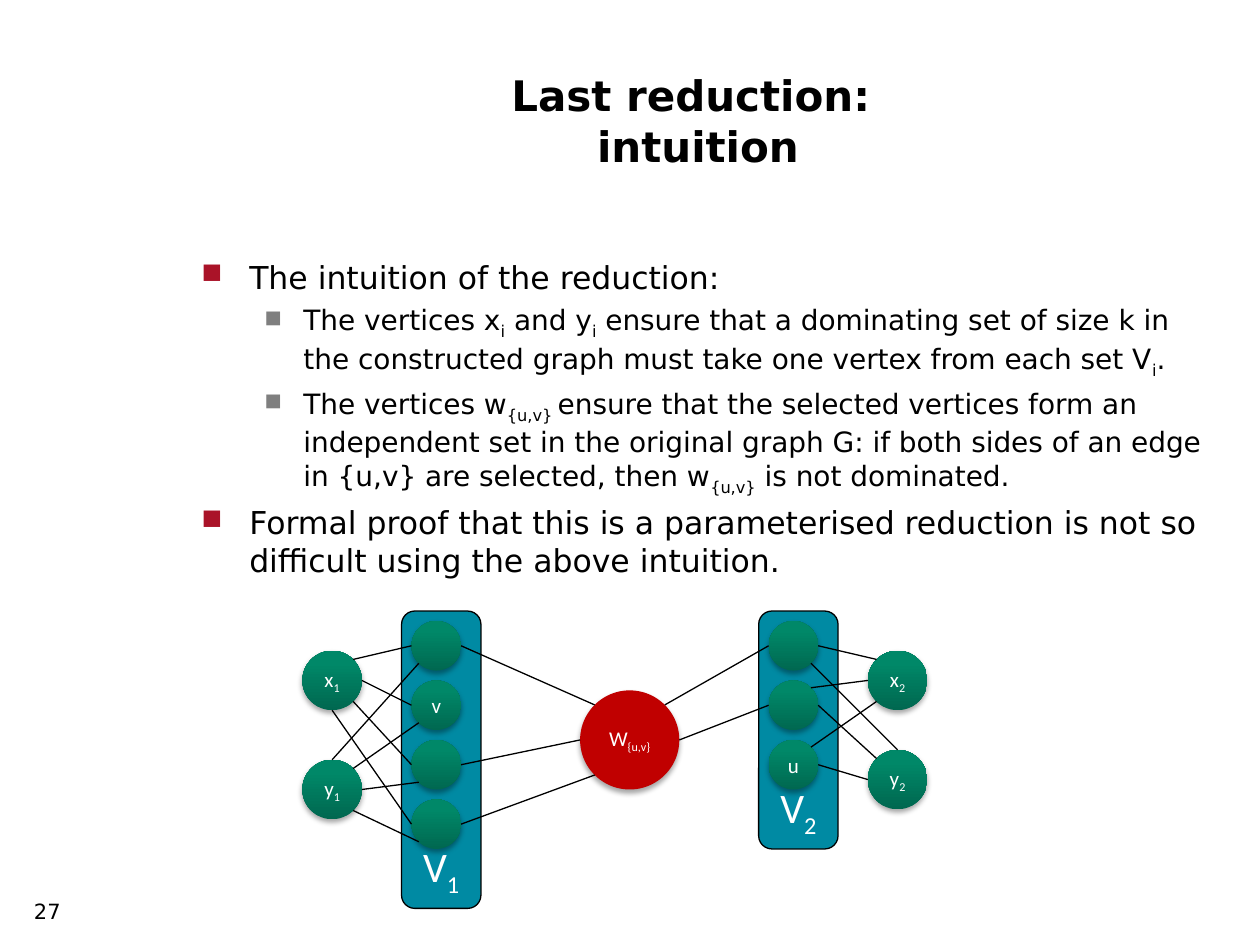
from dataclasses import dataclass
from math import cos, radians, sin

from lxml import etree
from pptx import Presentation
from pptx.dml.color import RGBColor
from pptx.enum.shapes import MSO_CONNECTOR, MSO_SHAPE
from pptx.enum.text import MSO_ANCHOR, PP_ALIGN
from pptx.oxml.ns import qn
from pptx.util import Emu, Inches, Pt

CIRCLE, ROUNDED = MSO_SHAPE.OVAL, MSO_SHAPE.ROUNDED_RECTANGLE
STRAIGHT = MSO_CONNECTOR.STRAIGHT
LEFT, CENTER, RIGHT = PP_ALIGN.LEFT, PP_ALIGN.CENTER, PP_ALIGN.RIGHT
TOP, MIDDLE, BOTTOM = MSO_ANCHOR.TOP, MSO_ANCHOR.MIDDLE, MSO_ANCHOR.BOTTOM


@dataclass(frozen=True)
class Theme:
    text_font: str = "DejaVu Sans"
    graph_font: str = "Calibri"
    black: str = "000000"
    white: str = "FFFFFF"
    set_fill: str = "008AA3"
    vertex_dark: str = "006850"
    vertex_light: str = "008868"
    edge_vertex: str = "C00000"
    title_size: int = 24
    set_size: int = 24
    small_size: int = 12
    line_width: float = 0.75
    # Per outline level: size, left margin, hanging indent, bullet colour, bullet percent
    levels: tuple = ((18, 0.38, 0.38, "AA1328", 90), (16, 0.81, 0.31, "7F7F7F", 85))


@dataclass(frozen=True)
class Box:
    left: float
    top: float
    width: float
    height: float

    def emu(self):
        return [Inches(n) for n in (self.left, self.top, self.width, self.height)]

    def cell(self, column, row, columns, rows, grid):
        """Part of this box, measured on a grid of (columns, rows)."""
        x, y = self.width / grid[0], self.height / grid[1]
        return Box(self.left + column * x, self.top + row * y, columns * x, rows * y)

    def rim(self, compass):
        """Point on the inscribed ellipse in a compass direction."""
        angle = radians(45 * ("E", "SE", "S", "SW", "W", "NW", "N", "NE").index(compass))
        return (Inches(self.left + self.width / 2 * (1 + cos(angle))),
                Inches(self.top + self.height / 2 * (1 + sin(angle))))


THEME = Theme()
PAGE = Box(0, 0, 10, 7.5)
GRID = (63, 30)  # columns and rows of the graph
POINTS = [
    (0, "The intuition of the reduction:"),
    (1, "The vertices x~i~ and y~i~ ensure that a dominating set of size k in "
        "the constructed graph must take one vertex from each set V~i~."),
    (1, "The vertices w~{u,v} ~ensure that the selected vertices form an independent set in "
        "the original graph G: if both sides of an edge in {u,v} are selected, "
        "then w~{u,v}~ is not dominated."),
    (0, "Formal proof that this is a parameterised reduction is not so difficult "
        "using the above intuition."),
]


def write(paragraph, text, *, size, font=THEME.text_font, color=THEME.black,
          bold=False, align=LEFT):
    """Write text; parts between tildes are subscripts, a newline is a line break."""
    paragraph.alignment = align
    for line_number, line in enumerate(text.split("\n")):
        if line_number:
            paragraph.add_line_break()
        for part_number, part in enumerate(line.split("~")):
            if not part:
                continue
            run = paragraph.add_run()
            run.text = part
            run.font.size, run.font.name, run.font.bold = Pt(size), font, bold
            run.font.color.rgb = RGBColor.from_string(color)
            if part_number % 2:
                run.font._element.set("baseline", "-25000")


def add_title(slide, box):
    title = slide.shapes.title
    title.left, title.top, title.width, title.height = box.emu()
    title.text_frame.vertical_anchor = MIDDLE
    write(title.text_frame.paragraphs[0], "Last reduction: \nintuition",
          size=THEME.title_size, bold=True, align=CENTER)


def add_text_frame(slide, box):
    frame = slide.shapes.add_textbox(*box.emu()).text_frame
    frame.word_wrap = True
    frame.vertical_anchor = TOP
    return frame


def add_bullet(paragraph, level):
    _, margin, hanging, color, percent = THEME.levels[level]
    paragraph.level = level
    properties = paragraph._p.get_or_add_pPr()
    properties.set("marL", str(Inches(margin)))
    properties.set("indent", str(-Inches(hanging)))
    bullet_color = etree.SubElement(properties, qn("a:buClr"))
    etree.SubElement(bullet_color, qn("a:srgbClr"), val=color)
    etree.SubElement(properties, qn("a:buSzPct"), val=str(percent * 1000))
    etree.SubElement(properties, qn("a:buChar"), char="■")


def add_points(slide, box):
    frame = add_text_frame(slide, box)
    for number, (level, text) in enumerate(POINTS):
        paragraph = frame.add_paragraph() if number else frame.paragraphs[0]
        add_bullet(paragraph, level)
        if number:
            paragraph.space_before = Pt(4)
        write(paragraph, text, size=THEME.levels[level][0])


def add_label(shape, text, size, anchor):
    frame = shape.text_frame
    frame.word_wrap = False
    frame.vertical_anchor = anchor
    frame.margin_left = frame.margin_right = 0
    write(frame.paragraphs[0], text, size=size, font=THEME.graph_font,
          color=THEME.white, align=CENTER)


def add_shadow(shape):
    shape.shadow.inherit = False
    effects = shape._element.spPr.find(qn("a:effectLst"))
    shadow = etree.SubElement(effects, qn("a:outerShdw"), blurRad=str(Pt(3.1)),
                              dist=str(Pt(1.8)), dir="5400000", rotWithShape="0")
    color = etree.SubElement(shadow, qn("a:srgbClr"), val=THEME.black)
    etree.SubElement(color, qn("a:alpha"), val="35000")


def add_vertex(slide, box, label="", solid=None):
    shape = slide.shapes.add_shape(CIRCLE, *box.emu())
    shape.line.fill.background()
    if solid:
        shape.fill.solid()
        shape.fill.fore_color.rgb = RGBColor.from_string(solid)
    else:
        shape.fill.gradient()
        shape.fill.gradient_angle = 90
        stops = ((0, THEME.vertex_dark), (0.8, THEME.vertex_light))
        for stop, (position, color) in zip(shape.fill.gradient_stops, stops):
            stop.position = position
            stop.color.rgb = RGBColor.from_string(color)
    add_shadow(shape)
    if label:
        add_label(shape, label, THEME.small_size, MIDDLE)
    return box


def add_edge(slide, start, start_side, end, end_side):
    edge = slide.shapes.add_connector(STRAIGHT, *map(Emu, start.rim(start_side) + end.rim(end_side)))
    edge.line.width = Pt(THEME.line_width)
    edge.line.color.rgb = RGBColor.from_string(THEME.black)
    etree.SubElement(edge._element.spPr, qn("a:effectLst"))


def add_vertex_set(slide, box, column, name, labels):
    """Rounded set with one vertex per label; returns the boxes of its vertices."""
    rows = 6 * (len(labels) + 1)
    shape = slide.shapes.add_shape(ROUNDED, *box.cell(column, 0, 8, rows, GRID).emu())
    shape.shadow.inherit = False
    shape.fill.solid()
    shape.fill.fore_color.rgb = RGBColor.from_string(THEME.set_fill)
    shape.line.width = Pt(THEME.line_width)
    shape.line.color.rgb = RGBColor.from_string(THEME.black)
    add_label(shape, name, THEME.set_size, BOTTOM)
    return [add_vertex(slide, box.cell(column + 1, 1 + 6 * number, 5, 5, GRID), label)
            for number, label in enumerate(labels)]


def add_graph(slide, box):
    # Vertex sets, their guards and the vertex for the edge
    first = add_vertex_set(slide, box, 10, "V~1~", ["", "v", "", ""])
    second = add_vertex_set(slide, box, 55 - 9, "V~2~", ["", "", "u"])
    x1, y1, x2, y2 = [add_vertex(slide, box.cell(column, row, 6, 6, GRID), label)
                      for column, row, label in ((0, 4, "x~1~"), (0, 15, "y~1~"),
                                                 (57, 4, "x~2~"), (57, 14, "y~2~"))]
    w = add_vertex(slide, box.cell(28, 8, 10, 10, GRID), "W~{u,v}~", THEME.edge_vertex)

    # Each guard reaches every vertex of its set
    fans = ((x1, ("NE", "E", "SE", "S"), first, ("W",) * 4),
            (y1, ("N", "NE", "E", "SE"), first, ("SW",) * 4),
            (x2, ("NW", "W", "SW"), second, ("E", "NE", "NE")),
            (y2, ("N", "NW", "W"), second, ("SE", "E", "E")),
            (w, ("NW", "W", "SW"), [first[0], *first[2:]], ("E",) * 3),
            (w, ("NE", "E"), second[:2], ("W",) * 2))
    for hub, hub_sides, members, member_sides in fans:
        for hub_side, member, member_side in zip(hub_sides, members, member_sides):
            add_edge(slide, hub, hub_side, member, member_side)


def main():
    presentation = Presentation()
    presentation.slide_width, presentation.slide_height = PAGE.emu()[2:]
    slide = presentation.slides.add_slide(presentation.slide_layouts[5])
    add_title(slide, Box(1.5, 0.33, 8.08, 1.25))
    add_points(slide, Box(1.5, 2, 8.22, 4.33))
    add_graph(slide, Box(2.4, 4.85, 4.96, 2.36))
    number = add_text_frame(slide, Box(0, 7.08, 0.58, 0.42))
    write(number.paragraphs[0], "27", size=THEME.small_size, align=RIGHT)
    presentation.save("out.pptx")


if __name__ == "__main__":
    main()
